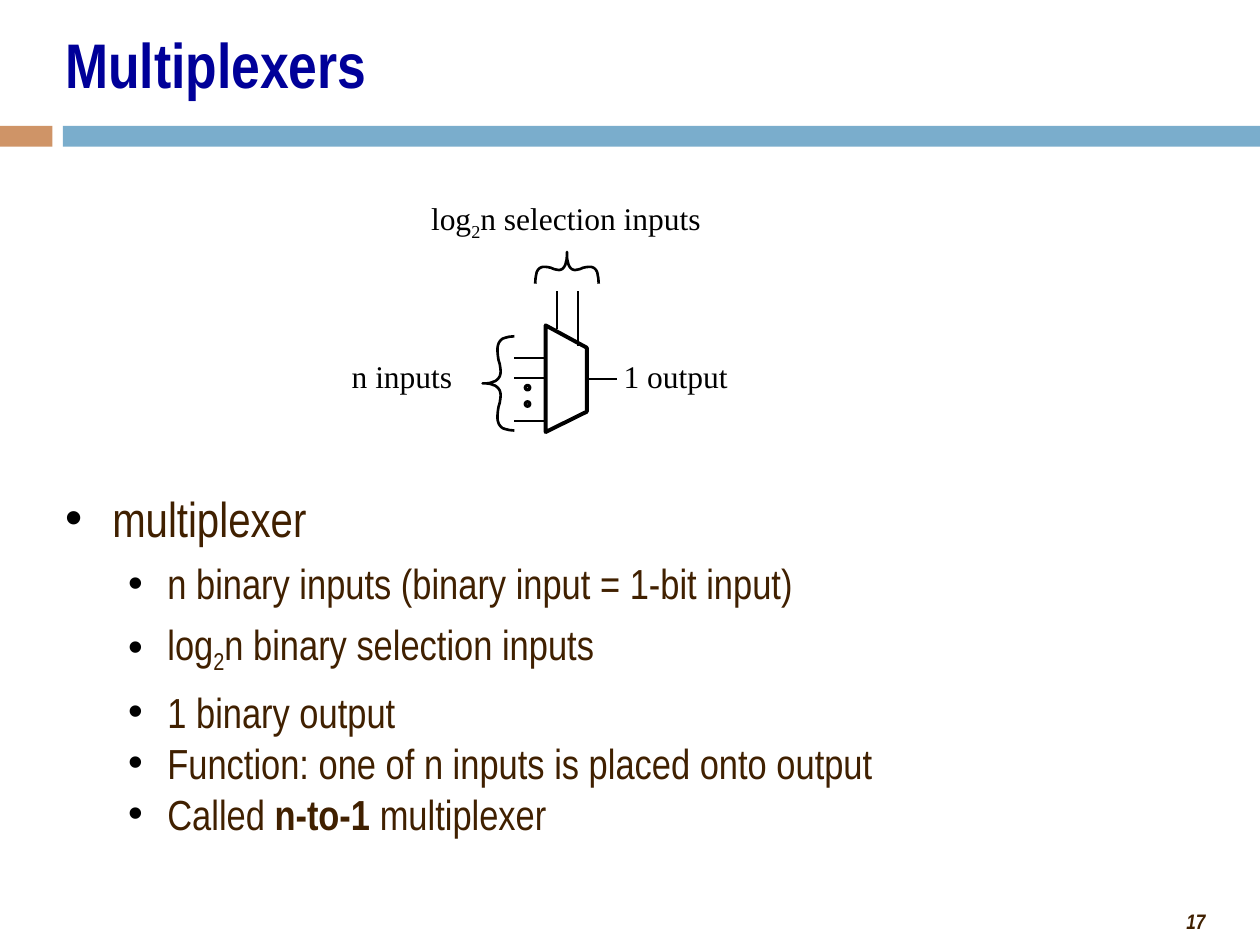
from lxml.etree import SubElement
from pptx import Presentation
from pptx.dml.color import RGBColor
from pptx.enum.shapes import MSO_CONNECTOR as Connector, MSO_SHAPE as Shape
from pptx.enum.text import MSO_ANCHOR as Anchor, MSO_AUTO_SIZE as AutoSize, PP_ALIGN as Align
from pptx.oxml.ns import qn
from pptx.util import Cm, Pt

COLORS = {"title": "000099", "body": "402000", "ink": "000000",
          "orange": "CF9467", "blue": "7AADCC"}
BODY_FONT, LABEL_FONT = "Arial Narrow", "Times New Roman"

# Content: a line is a list of (text, style) runs; lengths are in cm
TITLE = "Multiplexers"
PAGE_NUMBER = "17"
BULLETS = [  # level, line spacing, runs
    (0, 0.8, [("multiplexer", "")]),
    (1, 1.0, [("n binary inputs (binary input = 1-bit input)", "")]),
    (1, 1.0, [("log", ""), ("2", "sub"), ("n binary selection inputs", "")]),
    (1, 1.0, [("1 binary output", "")]),
    (1, 0.8, [("Function: one of n inputs is placed onto output", "")]),
    (1, 0.8, [("Called ", ""), ("n-to-1", "bold"), (" multiplexer", "")]),
]
LEVELS = [  # size, space before, left margin, hanging indent
    (28, 7, 0.95, 0.95),
    (24, 6, 2.06, 0.79),
]
BARS = [("orange", 0, 1.06), ("blue", 1.27, 24.13)]  # color, left, width
LABELS = [
    ((7.09, 7.19, 2.44, 0.76), [("n inputs", "")]),
    ((12.57, 7.19, 2.54, 0.76), [("1 output", "")]),
    ((8.69, 4.02, 6.4, 0.86), [("log", ""), ("2", "sub"), ("n selection inputs", "")]),
]
MUX_LEFT, MUX_RIGHT = 11, 11.83
MUX_OUTLINE = [(MUX_RIGHT, 8.3), (MUX_RIGHT, 7.01), (MUX_LEFT, 6.56), (MUX_LEFT, 8.71)]
INPUT_LEFT, INPUT_ROWS = 10.37, (7.22, 7.62, 8.49)
OUTPUT_ROW, OUTPUT_RIGHT = 7.64, 12.44
SELECT_TOP, SELECTS = 5.87, [(11.23, 6.63), (11.65, 6.98)]  # column, bottom
DOT_LEFT, DOT_ROWS, DOT_SIZE = 10.59, (7.77, 8.1), 0.09

# Half a brace from its tip: (percent of depth, percent of half length)
HALF_BRACE = [(0, 0), (12, 0), (24, 1), (32, 3), (40, 5), (46, 8), (50, 11), (54, 15),
              (56, 20), (57, 25), (56, 32), (54, 41), (50, 50), (48, 59), (47, 68),
              (47, 75), (48, 80), (51, 86), (56, 91), (63, 95), (72, 97), (84, 99),
              (100, 100)]
BRACE_DEPTH = 0.64


def color(name):
    return RGBColor.from_string(COLORS[name])


def place(shape, box):
    shape.left, shape.top, shape.width, shape.height = (Cm(value) for value in box)


def format_run(run, size, font, color_name, bold=False, italic=False):
    run.font.size, run.font.name = Pt(size), font
    run.font.bold, run.font.italic = bold, italic
    run.font.color.rgb = color(color_name)


def add_runs(paragraph, runs, size, font, color_name):
    for text, style in runs:
        run = paragraph.add_run()
        run.text = text
        format_run(run, size, font, color_name, bold=style == "bold")
        if style == "sub":
            run.font._element.set("baseline", "-25000")


def add_bullet(paragraph, margin, hanging):
    properties = paragraph._p.get_or_add_pPr()
    properties.set("marL", str(Cm(margin)))
    properties.set("indent", str(-Cm(hanging)))
    bullet_color = SubElement(properties, qn("a:buClr"))
    SubElement(bullet_color, qn("a:srgbClr")).set("val", COLORS["ink"])
    SubElement(properties, qn("a:buFont")).set("typeface", "Arial")
    SubElement(properties, qn("a:buChar")).set("char", "•")


def outline(shape, width):
    shape.shadow.inherit = False
    shape.fill.background()
    shape.line.color.rgb = color("ink")
    shape.line.width = Pt(width)


def add_wire(slide, x1, y1, x2, y2):
    wire = slide.shapes.add_connector(Connector.STRAIGHT, Cm(x1), Cm(y1), Cm(x2), Cm(y2))
    wire.line.color.rgb = color("ink")
    wire.line.width = Pt(1.5)
    SubElement(wire._element.spPr, qn("a:effectLst"))


def add_outline(slide, points, width, close):
    points = [(Cm(x), Cm(y)) for x, y in points]
    builder = slide.shapes.build_freeform(*points[0], scale=1.0)
    builder.add_line_segments(points[1:], close=close)
    outline(builder.convert_to_shape(), width)


def add_brace(slide, tip_x, tip_y, half_length, upward):
    offsets = [(BRACE_DEPTH * depth / 100, half_length * along / 100)
               for depth, along in HALF_BRACE]
    offsets = [(depth, -along) for depth, along in reversed(offsets)] + offsets[1:]
    if upward:
        offsets = [(along, depth) for depth, along in offsets]
    add_outline(slide, [(tip_x + x, tip_y + y) for x, y in offsets], 1.5, close=False)


presentation = Presentation()
presentation.slide_width, presentation.slide_height = Cm(25.4), Cm(19.05)
slide = presentation.slides.add_slide(presentation.slide_layouts[1])

# Page number and divider bars
number_box = slide.shapes.add_textbox(Cm(19.05), Cm(18.2), Cm(5.5), Cm(0.77))
number_box.text_frame.word_wrap = True
number_box.text_frame.text = PAGE_NUMBER
number = number_box.text_frame.paragraphs[0]
number.alignment = Align.RIGHT
format_run(number.runs[0], 12, BODY_FONT, "body", bold=True, italic=True)

for name, left, width in BARS:
    bar = slide.shapes.add_shape(Shape.RECTANGLE, Cm(left), Cm(2.54), Cm(width), Cm(0.42))
    bar.shadow.inherit = False
    bar.fill.solid()
    bar.fill.fore_color.rgb = color(name)
    bar.line.fill.background()

# Title
title = slide.shapes.title
place(title, (1.06, 0.21, 23.28, 2.12))
title.text_frame.text = TITLE
title.text_frame.auto_size = AutoSize.NONE
title.text_frame.vertical_anchor = Anchor.MIDDLE
title.text_frame.paragraphs[0].alignment = Align.LEFT
format_run(title.text_frame.paragraphs[0].runs[0], 36, BODY_FONT, "title", bold=True)

# Bulleted list
body = slide.placeholders[1]
place(body, (1.06, 9.95, 21.8, 7.2))
body.text_frame.auto_size = AutoSize.NONE
for index, (level, spacing, runs) in enumerate(BULLETS):
    paragraph = body.text_frame.add_paragraph() if index else body.text_frame.paragraphs[0]
    size, space_before, margin, hanging = LEVELS[level]
    paragraph.level = level
    paragraph.line_spacing = spacing
    paragraph.space_before = Pt(space_before)
    add_bullet(paragraph, margin, hanging)
    add_runs(paragraph, runs, size, BODY_FONT, "body")

# Multiplexer symbol with its wires
for row in INPUT_ROWS:
    add_wire(slide, INPUT_LEFT, row, MUX_LEFT, row)
add_wire(slide, MUX_RIGHT, OUTPUT_ROW, OUTPUT_RIGHT, OUTPUT_ROW)
for column, bottom in SELECTS:
    add_wire(slide, column, SELECT_TOP, column, bottom)
add_outline(slide, MUX_OUTLINE, 2.25, close=True)
for row in DOT_ROWS:
    dot = slide.shapes.add_shape(Shape.OVAL, Cm(DOT_LEFT), Cm(row), Cm(DOT_SIZE), Cm(DOT_SIZE))
    outline(dot, 1.87)

# Braces and labels
add_brace(slide, 9.73, 7.73, 0.95, upward=False)
add_brace(slide, 11.43, 5.08, 0.64, upward=True)
for box, runs in LABELS:
    frame = slide.shapes.add_textbox(*(Cm(value) for value in box)).text_frame
    frame.margin_left = frame.margin_right = frame.margin_top = frame.margin_bottom = 0
    frame.word_wrap = False
    add_runs(frame.paragraphs[0], runs, 18, LABEL_FONT, "ink")

presentation.save("out.pptx")
